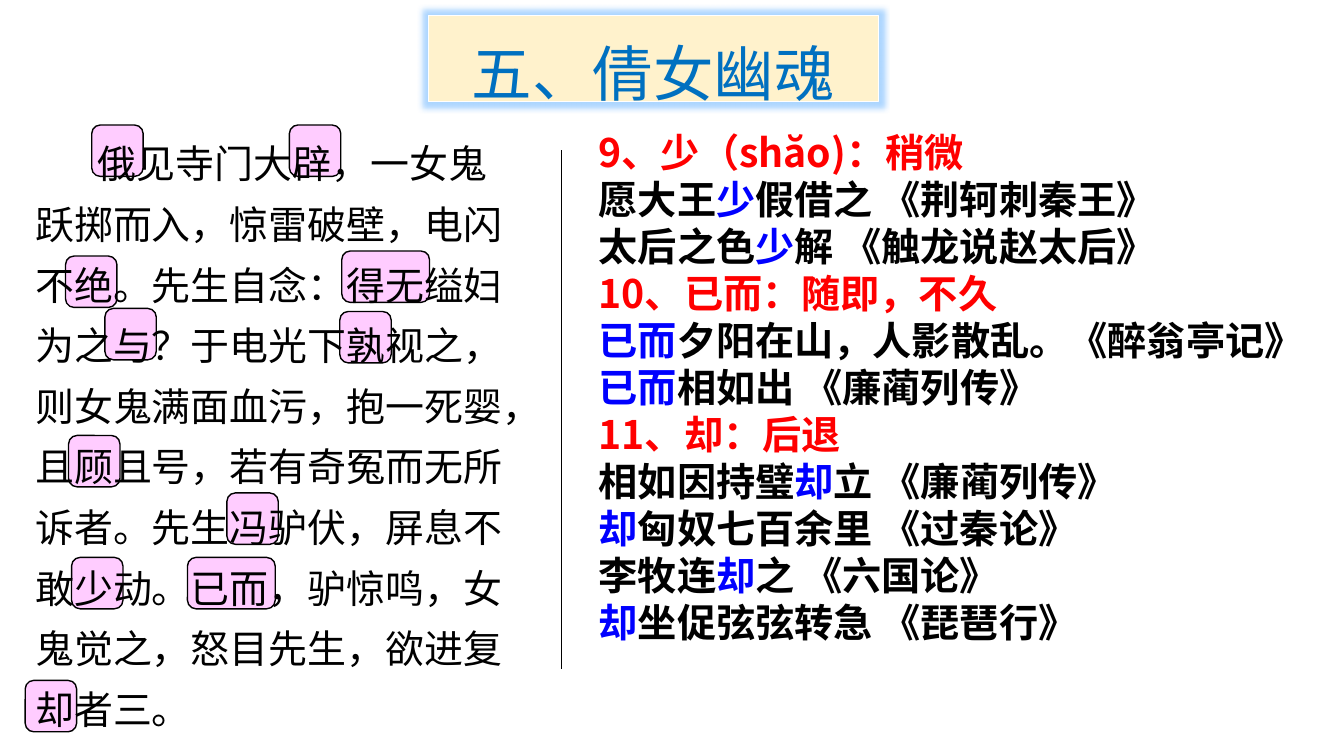
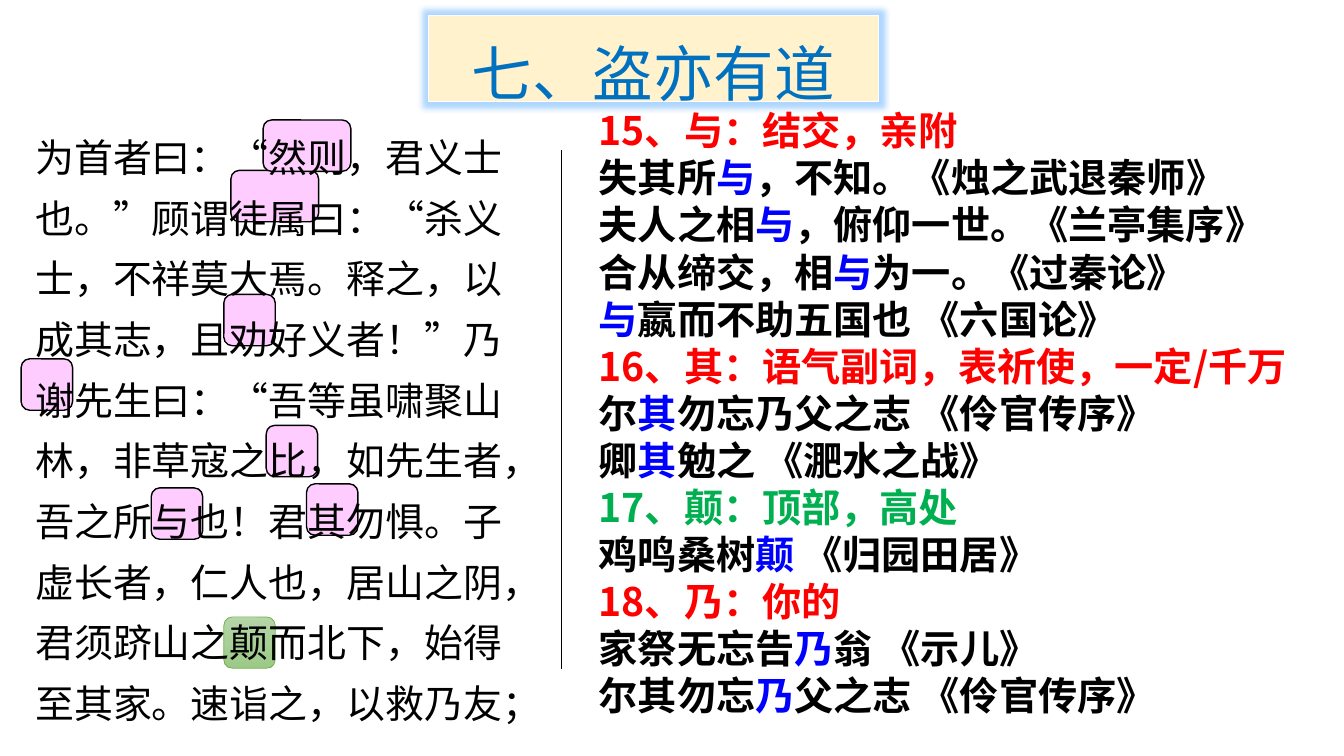
from dataclasses import dataclass

import lxml.etree
import pptx
import pptx.dml.color
import pptx.enum.dml
import pptx.enum.lang
import pptx.enum.shapes
import pptx.enum.text
import pptx.oxml.ns
import pptx.util

Inches = pptx.util.Inches
Pt = pptx.util.Pt
RGBColor = pptx.dml.color.RGBColor
qn = pptx.oxml.ns.qn

FONT = "Noto Sans CJK SC"
BLACK = RGBColor(0x00, 0x00, 0x00)
WHITE = RGBColor(0xFF, 0xFF, 0xFF)
RED = RGBColor(0xFF, 0x00, 0x00)
BLUE = RGBColor(0x00, 0x00, 0xFF)
GREEN = RGBColor(0x00, 0xB0, 0x50)
TITLE_BLUE = RGBColor(0x00, 0x70, 0xC0)
CREAM = RGBColor(0xFF, 0xF2, 0xCC)
PINK = RGBColor(0xFF, 0xCC, 0xFF)
LEAF_LIGHT = RGBColor(0xB5, 0xD5, 0xA7)
LEAF_DARK = RGBColor(0x9C, 0xC9, 0x87)
LEAF_LINE = RGBColor(0x70, 0xAD, 0x47)
GLOW = "3399FF"
GAP = " "
MARK_HEIGHT = 0.51
MARK_WIDTHS = {1: 0.51, 2: 0.87}


@dataclass(frozen=True)
class Mark:
    left: float
    top: float
    chars: int = 1
    green: bool = False


@dataclass(frozen=True)
class Entry:
    heading: str
    examples: tuple[str, ...]
    color: RGBColor = RED


@dataclass(frozen=True)
class Lesson:
    title: str
    passage: str
    passage_top: float
    first_indent: float
    glossary_top: float
    marks: tuple[Mark, ...]
    glossary: tuple[Entry, ...]


LESSONS = (
    Lesson(
        "五、倩女幽魂",
        "俄见寺门大辟，一女鬼跃掷而入，惊雷破壁，电闪不绝。先生自念：得无缢妇为之与？"
        "于电光下孰视之，则女鬼满面血污，抱一死婴，且顾且号，若有奇冤而无所诉者。"
        "先生冯驴伏，屏息不敢少动。已而，驴惊鸣，女鬼觉之，怒目先生，欲进复却者三。",
        1.2, 0.62, 1.22,
        (
            Mark(0.25, 6.75), Mark(1.86, 5.53, 2), Mark(0.71, 5.53),
            Mark(2.25, 4.89), Mark(0.68, 4.32), Mark(3.37, 3.09),
            Mark(1.04, 3.06), Mark(3.39, 2.49, 2), Mark(0.65, 2.54),
            Mark(2.87, 1.24), Mark(0.91, 1.24),
        ),
        (
            Entry("9、少（shăo)：稍微", (
                "愿大王*少*假借之|《荆轲刺秦王》",
                "太后之色*少*解|《触龙说赵太后》",
            )),
            Entry("10、已而：随即，不久", (
                "*已而*夕阳在山，人影散乱。《醉翁亭记》",
                "*已而*相如出|《廉蔺列传》",
            )),
            Entry("11、却：后退", (
                "相如因持璧*却*立|《廉蔺列传》",
                "*却*匈奴七百余里|《过秦论》",
                "李牧连*却*之|《六国论》",
                "*却*坐促弦弦转急|《琵琶行》",
            )),
        ),
    ),
    Lesson(
        "七、盗亦有道",
        "为首者曰：“然则，君义士也。”顾谓徒属曰：“杀义士，不祥莫大焉。释之，以成其志，"
        "且劝好义者！”乃谢先生曰：“吾等虽啸聚山林，非草寇之比，如先生者，吾之所与也！"
        "君其勿惧。子虚长者，仁人也，居山之阴，君须跻山之颠而北下，始得至其家。"
        "速诣之，以救乃友；",
        1.14, 0, 1.01,
        (
            Mark(2.22, 6.12, green=True), Mark(3.04, 4.8), Mark(1.5, 4.84),
            Mark(2.64, 4.22), Mark(0.21, 3.56), Mark(2.22, 2.92),
            Mark(2.29, 1.69, 2), Mark(2.61, 1.19, 2),
        ),
        (
            Entry("15、与：结交，亲附", (
                "失其所*与*，不知。《烛之武退秦师》",
                "夫人之相*与*，俯仰一世。《兰亭集序》",
                "合从缔交，相*与*为一。《过秦论》",
                "*与*嬴而不助五国也|《六国论》",
            )),
            Entry("16、其：语气副词，表祈使，一定/千万", (
                "尔*其*勿忘乃父之志|《伶官传序》",
                "卿*其*勉之|《淝水之战》",
            )),
            Entry("17、颠：顶部，高处", ("鸡鸣桑树*颠*|《归园田居》",), GREEN),
            Entry("18、乃：你的", (
                "家祭无忘告*乃*翁|《示儿》",
                "尔其勿忘*乃*父之志 《伶官传序》",
            )),
        ),
    ),
)


def format_run(r, size: float, color: RGBColor, bold: bool = False) -> None:
    r.font.size = Pt(size)
    r.font.bold = bold
    r.font.color.rgb = color
    r.font.name = FONT
    r.font.language_id = pptx.enum.lang.MSO_LANGUAGE_ID.SIMPLIFIED_CHINESE
    lxml.etree.SubElement(r._r.get_or_add_rPr(), qn("a:ea"), typeface=FONT)


def add_title(s, text: str) -> None:
    sp = s.shapes.title
    sp.left, sp.top = Inches(4.25), Inches(0.15)
    sp.width, sp.height = Inches(4.46), Inches(0.86)
    sp.fill.solid()
    sp.fill.fore_color.rgb = CREAM
    sp.line.color.rgb = WHITE
    sp.line.width = Pt(0.5)
    effects = lxml.etree.SubElement(sp._element.spPr, qn("a:effectLst"))
    glow = lxml.etree.SubElement(effects, qn("a:glow"), rad=str(Inches(0.11)))
    color = lxml.etree.SubElement(glow, qn("a:srgbClr"), val=GLOW)
    lxml.etree.SubElement(color, qn("a:alpha"), val="40000")
    tf = sp.text_frame
    tf.text = text
    tf.auto_size = pptx.enum.text.MSO_AUTO_SIZE.NONE
    tf.vertical_anchor = pptx.enum.text.MSO_ANCHOR.TOP
    tf.margin_top = tf.margin_bottom = 0
    p = tf.paragraphs[0]
    p.alignment = pptx.enum.text.PP_ALIGN.CENTER
    p.line_spacing = Pt(67)
    format_run(p.runs[0], 43.2, TITLE_BLUE)


def add_mark(s, mark: Mark) -> None:
    sp = s.shapes.add_shape(
        pptx.enum.shapes.MSO_SHAPE.ROUNDED_RECTANGLE,
        Inches(mark.left), Inches(mark.top),
        Inches(MARK_WIDTHS[mark.chars]), Inches(MARK_HEIGHT),
    )
    sp.shadow.inherit = False
    if mark.green:
        sp.fill.gradient()
        sp.fill.gradient_angle = 270
        for stop, color in zip(sp.fill.gradient_stops, (LEAF_LIGHT, LEAF_DARK)):
            stop.color.rgb = color
    else:
        sp.fill.solid()
        sp.fill.fore_color.rgb = PINK
    sp.line.color.rgb = LEAF_LINE if mark.green else BLACK
    sp.line.width = Pt(0.5 if mark.green else 1)


def add_text_frame(s, left: float, top: float, width: float, height: float):
    sp = s.shapes.add_textbox(Inches(left), Inches(top), Inches(width), Inches(height))
    sp.text_frame.word_wrap = True
    return sp.text_frame


def add_passage(s, lesson: Lesson) -> None:
    tf = add_text_frame(s, 0, lesson.passage_top, 5.19, 6.3)
    tf.text = lesson.passage
    p = tf.paragraphs[0]
    p.line_spacing = Pt(43.3)
    pPr = p._p.get_or_add_pPr()
    pPr.set("marL", str(Inches(0.25)))
    pPr.set("indent", str(Inches(lesson.first_indent)))
    format_run(p.runs[0], 27.8, BLACK)


def add_divider(s) -> None:
    line = s.shapes.add_connector(
        pptx.enum.shapes.MSO_CONNECTOR.STRAIGHT,
        Inches(5.57), Inches(1.49), Inches(5.57), Inches(6.64),
    )
    line.line.color.rgb = BLACK
    line.line.width = Pt(0.5)
    lxml.etree.SubElement(line._element.spPr, qn("a:effectLst"))


def add_glossary(s, lesson: Lesson) -> None:
    lines = [
        row
        for entry in lesson.glossary
        for row in [(entry.heading, entry.color), *((e, BLACK) for e in entry.examples)]
    ]
    tf = add_text_frame(s, 5.84, lesson.glossary_top, 7.36, 0.1 + 0.47 * len(lines))
    for i, (text, color) in enumerate(lines):
        p = tf.add_paragraph() if i else tf.paragraphs[0]
        p.line_spacing = Pt(33.6)
        for j, part in enumerate(text.replace("|", GAP).split("*")):
            if part:
                r = p.add_run()
                r.text = part
                format_run(r, 28, BLUE if j % 2 else color, bold=True)


def add_lesson(prs, lesson: Lesson) -> None:
    s = prs.slides.add_slide(prs.slide_layouts[5])
    for mark in lesson.marks:
        add_mark(s, mark)
    add_title(s, lesson.title)
    add_passage(s, lesson)
    add_divider(s)
    add_glossary(s, lesson)


def main() -> None:
    prs = pptx.Presentation()
    prs.slide_width, prs.slide_height = Inches(13.33), Inches(7.5)
    for lesson in LESSONS:
        add_lesson(prs, lesson)
    prs.save("out.pptx")


if __name__ == "__main__":
    main()
